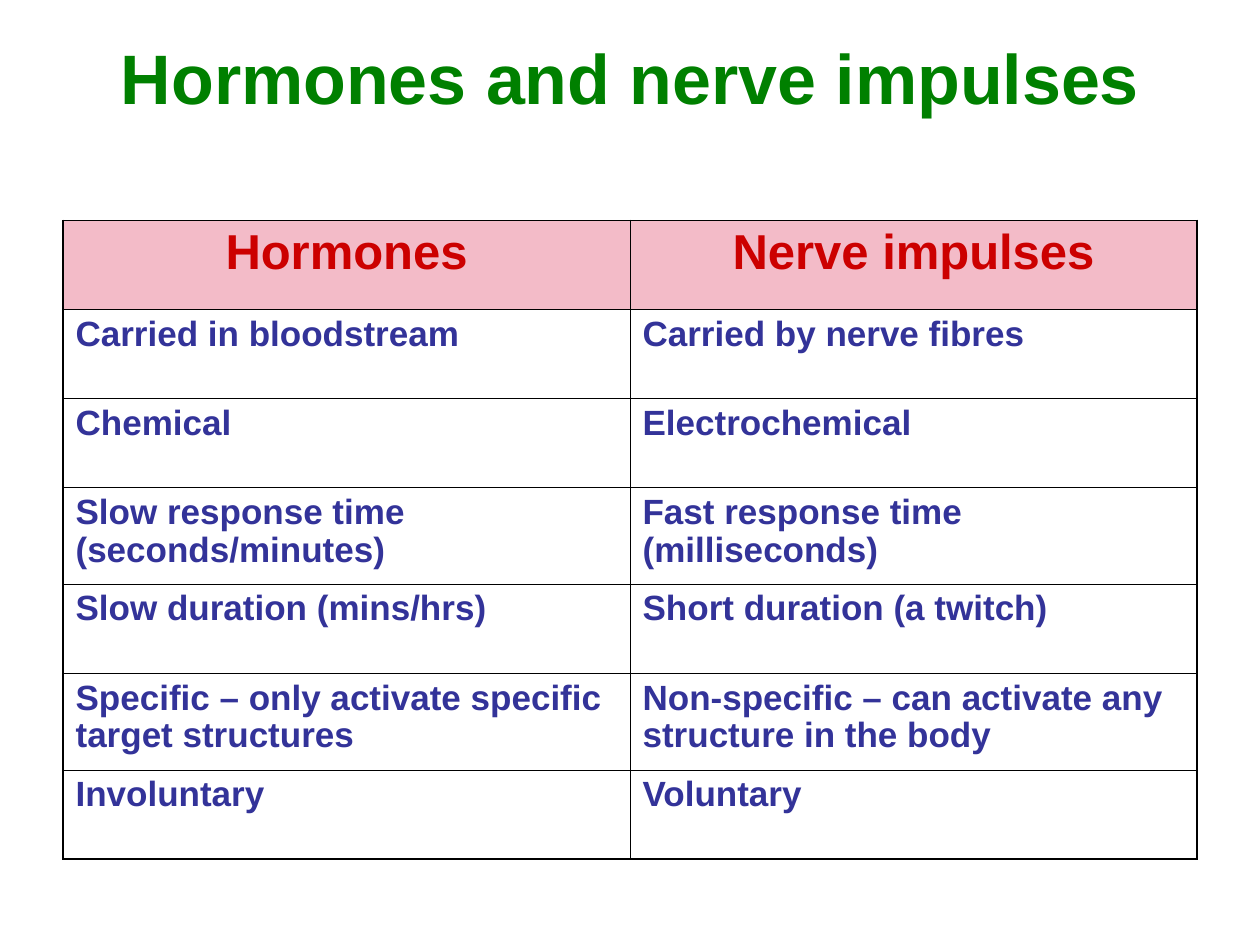
from lxml import etree
from pptx import Presentation
from pptx.dml.color import RGBColor
from pptx.enum.text import MSO_ANCHOR, PP_ALIGN
from pptx.oxml.ns import qn
from pptx.util import Pt

LEFT, CENTER = PP_ALIGN.LEFT, PP_ALIGN.CENTER
MIDDLE = MSO_ANCHOR.MIDDLE
GREEN = RGBColor(0x00, 0x80, 0x00)
RED = RGBColor(0xCC, 0x00, 0x00)
BLUE = RGBColor(0x33, 0x33, 0x99)
PINK = RGBColor(0xF3, 0xBB, 0xC8)
BLACK = RGBColor(0x00, 0x00, 0x00)
THIN, THICK = Pt(0.45), Pt(1.08)

ROWS = [
    ("Hormones", "Nerve impulses"),
    ("Carried in bloodstream", "Carried by nerve fibres"),
    ("Chemical", "Electrochemical"),
    ("Slow response time (seconds/minutes)", "Fast response time (milliseconds)"),
    ("Slow duration (mins/hrs)", "Short duration (a twitch)"),
    ("Specific – only activate specific target structures",
     "Non-specific – can activate any structure in the body"),
    ("Involuntary", "Voluntary"),
]
HEIGHTS = [50.9, 50.9, 50.9, 55.3, 50.9, 55.3, 50.6]


def write(frame, text, size, color, align):
    frame.text = text
    para = frame.paragraphs[0]
    para.alignment = align
    font = para.runs[0].font
    look = {"name": "Arial", "size": Pt(size), "bold": True}
    for key, value in look.items():
        setattr(font, key, value)
    font.color.rgb = color
    return para


def edge(cell, side, width):
    props = cell._tc.get_or_add_tcPr()
    line = etree.SubElement(props, qn("a:ln" + side), w=str(width))
    fill = etree.SubElement(line, qn("a:solidFill"))
    etree.SubElement(fill, qn("a:srgbClr"), val=str(BLACK))


deck = Presentation()
deck.slide_width, deck.slide_height = Pt(720), Pt(540)
slide = deck.slides.add_slide(deck.slide_layouts[5])

title = slide.shapes.title
place = {"left": 36, "top": 21.6, "width": 648, "height": 43.9}
for key, value in place.items():
    setattr(title, key, Pt(value))
title.text_frame.vertical_anchor = MIDDLE
write(title.text_frame, "Hormones and nerve impulses", 40, GREEN, CENTER)

frame = slide.shapes.add_table(
    len(ROWS), 2, Pt(36), Pt(126), Pt(648), Pt(sum(HEIGHTS)))
table = frame.table
table.first_row = table.horz_banding = False
for col in table.columns:
    col.width = Pt(324)

last = len(ROWS) - 1
for r, (texts, height) in enumerate(zip(ROWS, HEIGHTS)):
    table.rows[r].height = Pt(height)
    for c, text in enumerate(texts):
        cell = table.cell(r, c)
        outer = {"L": c == 0, "R": c == 1, "T": r == 0, "B": r == last}
        for side, thick in outer.items():
            edge(cell, side, THICK if thick else THIN)
        if r == 0:
            cell.fill.solid()
            cell.fill.fore_color.rgb = PINK
            para = write(cell.text_frame, text, 28, RED, CENTER)
        else:
            cell.fill.background()
            para = write(cell.text_frame, text, 20, BLUE, LEFT)
        para.line_spacing = 0.97

deck.save("out.pptx")
